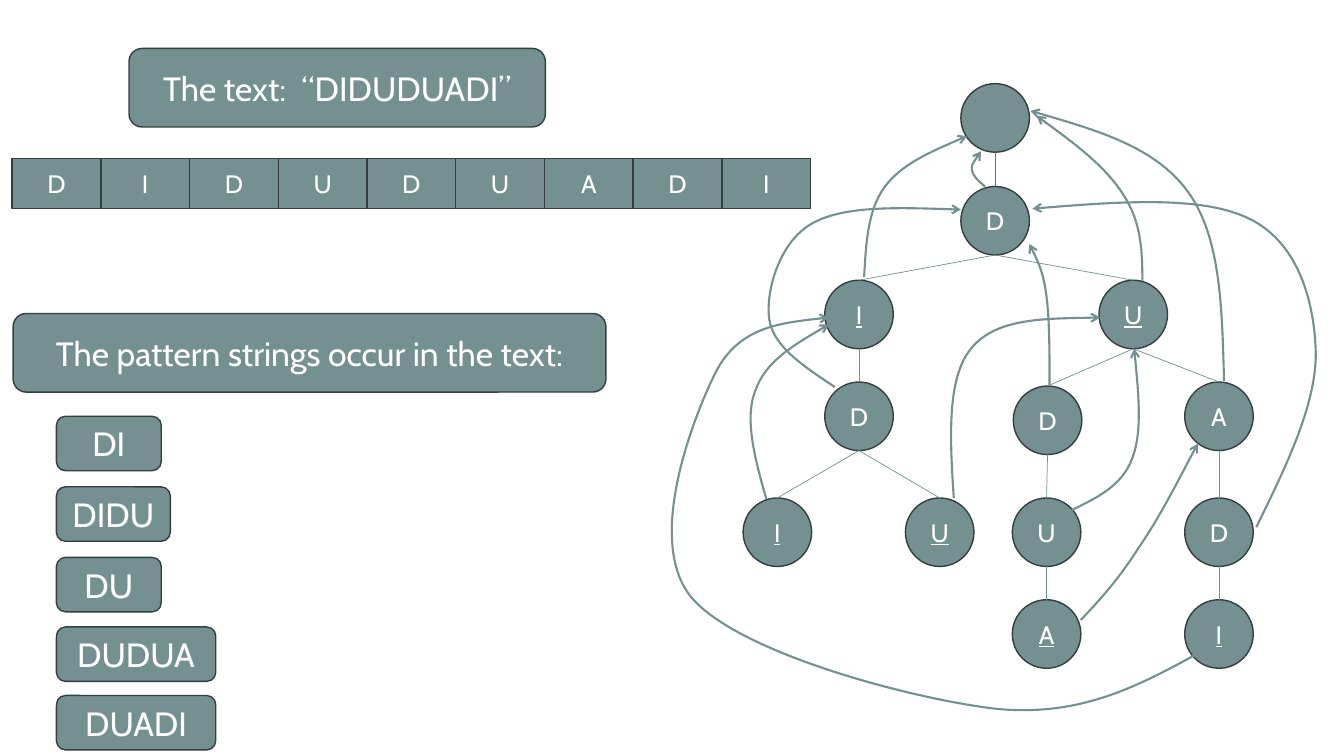
"""Build a slide showing pattern matching with a trie and its failure links."""
from lxml import etree
from pptx import Presentation
from pptx import util as u
from pptx.dml.color import RGBColor
from pptx.enum import shapes, text
from pptx.oxml.ns import qn

PX = 9144
SLIDE = (1333, 750)
FONT = "Cabin"
COLORS = {"fill": "749090", "outline": "333F3F", "text": "FFFFFF", "root_edge": "00B050"}

SEARCHED = "DIDUDUADI"
CELL = {"left": 12, "top": 157, "width": 88, "height": 50}

HEADINGS = [
    ("The pattern strings occur in the text:", 13, 311, 588, 78),
    (f"The text:  “{SEARCHED}”", 128, 48, 413, 78),
]
FOUND_LEFT, FOUND_HEIGHT = 56, 54
FOUND = [
    ("DI", 413, 104),
    ("DIDU", 483, 113),
    ("DU", 553, 104),
    ("DUDUA", 622, 158),
    ("DUADI", 690, 158),
]

NODE_SIZE = 68
PATTERN_ENDS = {"DI", "DU", "DIDI", "DIDU", "DUDUA", "DUADI"}
TRIE = {
    "": (953, 83),
    "D": (953, 185),
    "DU": (1090, 278),
    "DI": (818, 278),
    "DID": (818, 379),
    "DIDI": (737, 494),
    "DIDU": (898, 494),
    "DUD": (1005, 383),
    "DUDU": (1004, 494),
    "DUDUA": (1004, 595),
    "DUADI": (1175, 595),
    "DUA": (1175, 379),
    "DUAD": (1175, 494),
}

FAILURE_LINKS = {
    "D": [(977, 185), (971, 180), (965, 175), (964, 169), (963, 163), (973, 150), (973, 150)],
    "DI": [(857, 275), (859, 243), (860, 210), (877, 186), (894, 163), (927, 149), (959, 135)],
    "DU": [(1133, 279), (1133, 249), (1132, 220), (1114, 193), (1097, 166), (1063, 140),
           (1028, 115)],
    "DUA": [(1214, 378), (1212, 306), (1211, 235), (1178, 190), (1146, 146), (1084, 128),
            (1022, 110)],
    "DID": [(828, 384), (798, 364), (767, 344), (763, 317), (759, 289), (773, 240), (805, 222),
            (836, 204), (895, 206), (953, 208)],
    "DIDI": [(760, 495), (749, 456), (738, 416), (749, 388), (759, 359), (791, 340), (822, 322)],
    "DIDU": [(946, 494), (942, 435), (939, 375), (963, 346), (987, 316), (1039, 316),
             (1091, 315)],
    "DUD": [(1041, 382), (1041, 350), (1041, 317), (1038, 294), (1035, 271), (1028, 256),
            (1021, 242)],
    "DUAD": [(1246, 523), (1276, 462), (1305, 402), (1305, 351), (1304, 300), (1288, 242),
             (1241, 218), (1195, 194), (1109, 200), (1024, 207)],
    "DUDU": [(1063, 506), (1088, 494), (1113, 482), (1123, 455), (1133, 429), (1129, 387),
             (1125, 346)],
    "DUDUA": [(1072, 615), (1091, 595), (1110, 574), (1129, 544), (1149, 515), (1168, 478),
              (1188, 440)],
    "DUADI": [(1185, 650), (1128, 681), (1070, 712), (986, 703), (903, 693), (733, 648),
              (686, 593), (640, 538), (686, 418), (709, 371), (732, 325), (777, 320),
              (822, 315)],
}


def color(name):
    return RGBColor.from_string(COLORS[name])


def add_box(page, kind, label, bounds, size, underline=None):
    box = page.shapes.add_shape(kind, *(PX * length for length in bounds))
    box.shadow.inherit = False
    box.fill.solid()
    box.fill.fore_color.rgb = color("fill")
    box.line.color.rgb = color("outline")
    box.line.width = u.Pt(1)
    if not label:
        return
    frame = box.text_frame
    frame.margin_left = frame.margin_right = frame.margin_top = frame.margin_bottom = 0
    frame.word_wrap = False
    frame.vertical_anchor = text.MSO_ANCHOR.MIDDLE
    para = frame.paragraphs[0]
    para.alignment = text.PP_ALIGN.CENTER
    span = para.add_run()
    span.text = label
    span.font.name = FONT
    span.font.size = u.Pt(size)
    span.font.color.rgb = color("text")
    span.font.underline = underline


def add_edge(page, parent, child, line_color):
    ends = (parent[0] + NODE_SIZE // 2, parent[1] + NODE_SIZE,
            child[0] + NODE_SIZE // 2, child[1])
    edge = page.shapes.add_connector(shapes.MSO_CONNECTOR.STRAIGHT, *(PX * end for end in ends))
    edge.line.color.rgb = color(line_color)
    edge.line.width = u.Pt(0.5)
    etree.SubElement(edge.element.spPr, qn("a:effectLst"))


def bezier_points(points, steps=40):
    weights = [((1 - t) ** 3, 3 * t * (1 - t) ** 2, 3 * t * t * (1 - t), t ** 3)
               for t in (step / steps for step in range(steps + 1))]
    return [
        tuple(round(sum(w * p[axis] for w, p in zip(weight, points[first:first + 4])))
              for axis in (0, 1))
        for first in range(0, len(points) - 1, 3) for weight in weights
    ]


def add_curved_arrow(page, points):
    outline = bezier_points(points)
    builder = page.shapes.build_freeform(*outline[0], scale=PX)
    builder.add_line_segments(outline[1:], close=False)
    arrow = builder.convert_to_shape()
    arrow.shadow.inherit = False
    arrow.fill.background()
    arrow.line.color.rgb = color("fill")
    arrow.line.width = u.Pt(1.5)
    etree.SubElement(arrow.line._get_or_add_ln(), qn("a:tailEnd"), type="arrow")

    left, top = (min(values) for values in zip(*outline))
    curve = next(arrow.element.iter(qn("a:path")))
    for segment in list(curve)[1:]:
        curve.remove(segment)
    for first in range(1, len(points), 3):
        segment = etree.SubElement(curve, qn("a:cubicBezTo"))
        for x, y in points[first:first + 3]:
            etree.SubElement(segment, qn("a:pt"), x=str(x - left), y=str(y - top))


def main():
    deck = Presentation()
    deck.slide_width, deck.slide_height = (PX * length for length in SLIDE)
    page = deck.slides.add_slide(deck.slide_layouts[6])
    kinds = shapes.MSO_SHAPE

    for prefix, corner in TRIE.items():
        add_box(page, kinds.OVAL, prefix[-1:], (*corner, NODE_SIZE, NODE_SIZE), 18,
                prefix in PATTERN_ENDS or None)
    for prefix, corner in TRIE.items():
        if prefix:
            add_edge(page, TRIE[prefix[:-1]], corner, "root_edge" if prefix == "D" else "fill")
    for points in FAILURE_LINKS.values():
        add_curved_arrow(page, points)

    for column, letter in enumerate(SEARCHED):
        bounds = (CELL["left"] + column * CELL["width"], CELL["top"],
                  CELL["width"], CELL["height"])
        add_box(page, kinds.RECTANGLE, letter, bounds, 18)
    for label, *bounds in HEADINGS:
        add_box(page, kinds.ROUNDED_RECTANGLE, label, bounds, 24)
    for label, top, width in FOUND:
        add_box(page, kinds.ROUNDED_RECTANGLE, label,
                (FOUND_LEFT, top, width, FOUND_HEIGHT), 24)

    deck.save("out.pptx")


if __name__ == "__main__":
    main()
